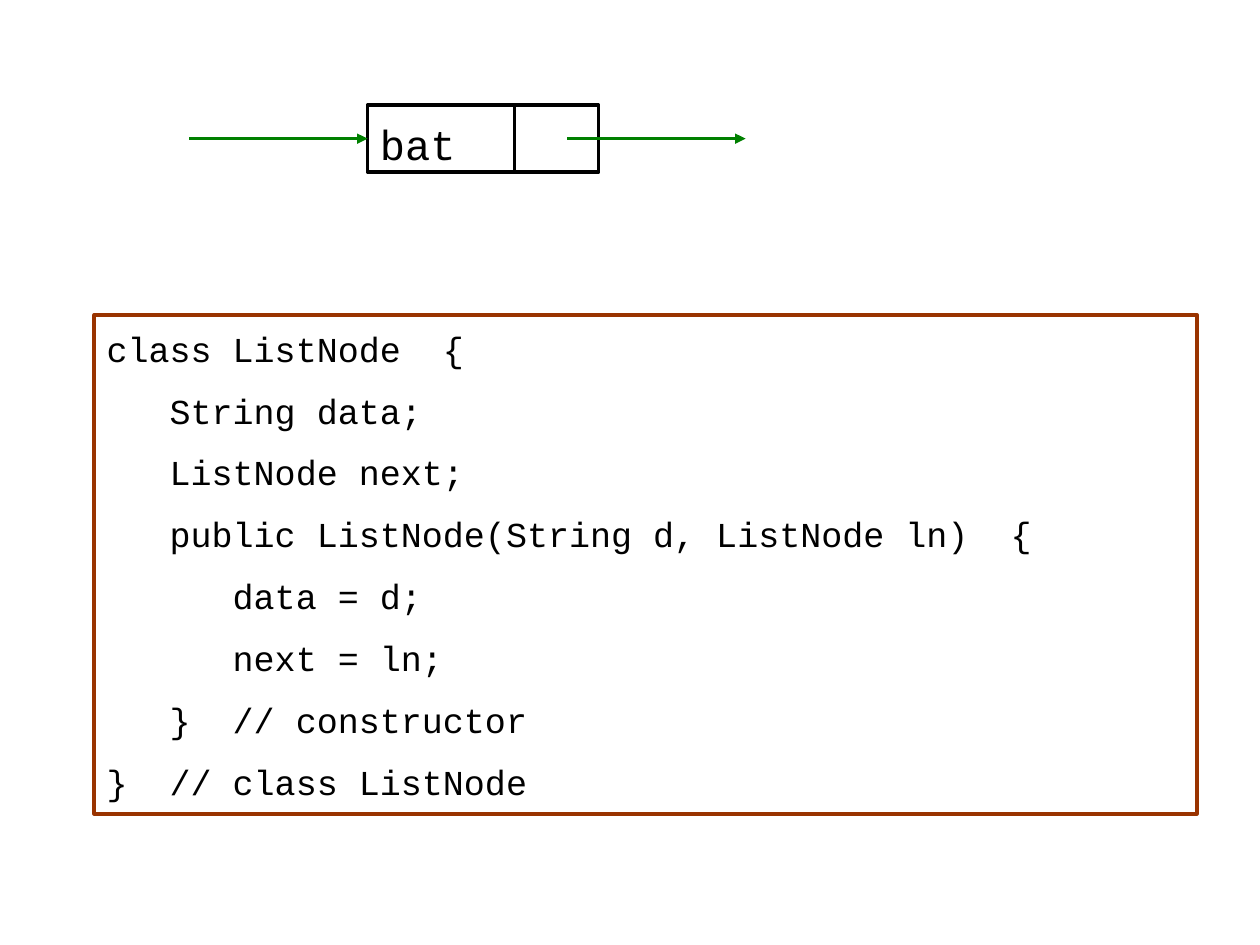
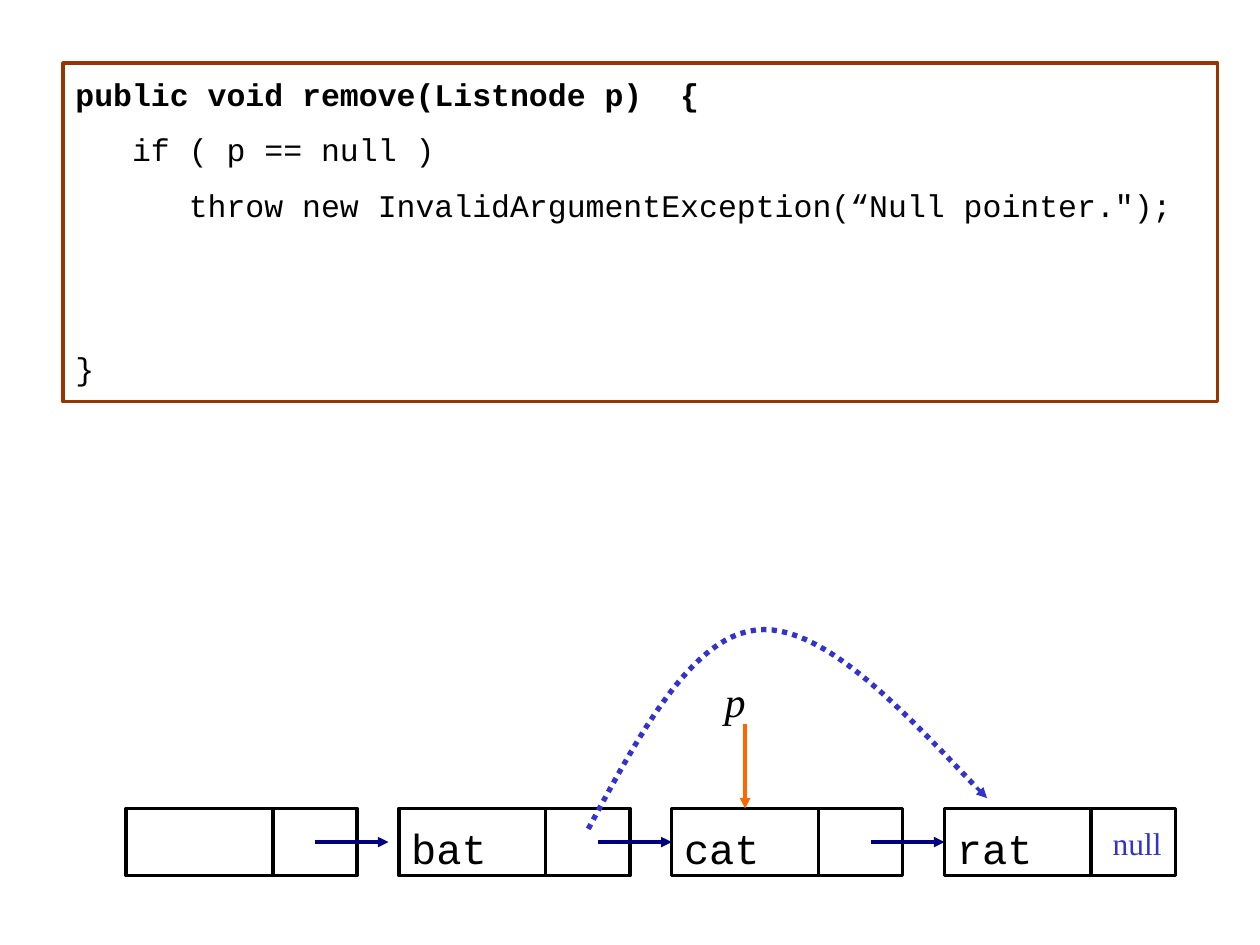
"""Build two slides on linked list nodes: the node class and removing a node."""
from dataclasses import dataclass, field
from typing import Any

from lxml import etree
from pptx import Presentation
from pptx import util as u
from pptx.dml.color import RGBColor
from pptx.enum import dml, shapes, text
from pptx.oxml.ns import qn

BLACK = RGBColor(0x00, 0x00, 0x00)
BROWN = RGBColor(0x99, 0x33, 0x00)
GREEN = RGBColor(0x00, 0x80, 0x00)
NAVY = RGBColor(0x00, 0x00, 0x80)
BLUE = RGBColor(0x33, 0x33, 0xCC)
ORANGE = RGBColor(0xFF, 0x66, 0x00)

MONO = "Courier New"
SERIF = "Times New Roman"
LINE_WIDTH = u.Pt(2)

DATA_WIDTH = 2.96
LINK_WIDTH = 1.7
NODE_HEIGHT = 1.35
NODE_STEP = 5.5
LINK_START = 4.02
SIDE_INSET = 0.25
TOP_INSET = 0.13
CURVE_STEPS = 24
TOP_SIDE, LEFT_SIDE = 0, 1

CLASS_CODE = """class ListNode  {
   String data;
   ListNode next;
   public ListNode(String d, ListNode ln)  {
      data = d;
      next = ln;
   }  // constructor
}  // class ListNode"""

REMOVE_CODE = """public void remove(Listnode p)  {
   if ( p == null )
      throw new InvalidArgumentException(“Null pointer.");


}"""

Point = tuple[float, float]


@dataclass
class Area:
    """A rectangle on the page, in centimetres."""
    left: float
    top: float
    width: float
    height: float

    def lengths(self) -> list[u.Length]:
        """Return the four lengths in drawing order."""
        return [u.Cm(value) for value in (self.left, self.top, self.width, self.height)]


@dataclass
class Node:
    """A list node with a data cell and a link cell."""
    left: float
    top: float
    label: str = ""

    @property
    def middle(self) -> float:
        """Return the height at which links run."""
        return self.top + NODE_HEIGHT / 2


@dataclass
class Wording:
    """Text with its font values and layout."""
    content: str
    size: float
    font: dict[str, Any] = field(default_factory=dict)
    align: Any = text.PP_ALIGN.LEFT
    inset: float = SIDE_INSET
    top_inset: float = TOP_INSET
    bold_first: bool = False


@dataclass
class Arrow:
    """A straight arrow, joined to a cell when a target is given."""
    start: Point
    end: Point
    color: RGBColor
    target: Any = None
    side: int = LEFT_SIDE


def apply(item: Any, values: dict[str, Any]) -> None:
    """Set every named value on an object."""
    for name, value in values.items():
        setattr(item, name, value)


def outline(line: Any, color: RGBColor, width: u.Length = LINE_WIDTH) -> None:
    """Give a line its colour and width."""
    line.color.rgb = color
    line.width = width


def write(box: Any, wording: Wording) -> None:
    """Write lines of text, turning empty lines into space before the next one."""
    frame = box.text_frame
    apply(frame, {
        "word_wrap": True,
        "vertical_anchor": text.MSO_ANCHOR.TOP,
        "margin_left": u.Cm(wording.inset),
        "margin_right": u.Cm(wording.inset),
        "margin_top": u.Cm(wording.top_inset + 0.006 * wording.size),
        "margin_bottom": 0,
    })
    line_height = 1.133 * wording.size
    gap = line_height / 2
    skipped = 0
    for index, content in enumerate(wording.content.split("\n")):
        if not content:
            skipped += 1
            continue
        para = frame.add_paragraph() if index else frame.paragraphs[0]
        before = gap + skipped * (line_height + gap) if index else 0
        apply(para, {"alignment": wording.align, "space_before": u.Pt(round(before, 1))})
        skipped = 0
        span = para.add_run()
        span.text = content
        span.font.color.rgb = BLACK
        apply(span.font, {"name": MONO, "size": u.Pt(wording.size),
                          "bold": wording.bold_first and index == 0})
        values = dict(wording.font)
        span.font.color.rgb = values.pop("color", BLACK)
        apply(span.font, values)


def draw_box(page: Any, area: Area, color: RGBColor, wording: Wording | None = None) -> Any:
    """Draw an outlined rectangle, with text if any."""
    box = page.shapes.add_shape(shapes.MSO_SHAPE.RECTANGLE, *area.lengths())
    box.shadow.inherit = False
    box.fill.background()
    outline(box.line, color)
    if wording:
        write(box, wording)
    return box


def draw_label(page: Any, area: Area, wording: Wording) -> None:
    """Draw text without an outline."""
    write(page.shapes.add_textbox(*area.lengths()), wording)


def draw_node(page: Any, node: Node) -> Any:
    """Draw both cells of a node and return the data cell."""
    wording = Wording(node.label, 24) if node.label else None
    data = draw_box(page, Area(node.left, node.top, DATA_WIDTH, NODE_HEIGHT), BLACK, wording)
    draw_box(page, Area(node.left + DATA_WIDTH, node.top, LINK_WIDTH, NODE_HEIGHT), BLACK)
    return data


def draw_arrow(page: Any, arrow: Arrow) -> None:
    """Draw an arrow with a triangular head."""
    ends = [u.Cm(value) for value in (*arrow.start, *arrow.end)]
    link = page.shapes.add_connector(shapes.MSO_CONNECTOR.STRAIGHT, *ends)
    if arrow.target is not None:
        link.end_connect(arrow.target, arrow.side)
    outline(link.line, arrow.color)
    properties = link._element.spPr
    etree.SubElement(properties.find(qn("a:ln")), qn("a:tailEnd"), type="triangle")
    etree.SubElement(properties, qn("a:effectLst"))


def curve_points(corners: list[Point]) -> list[Point]:
    """Return points along a cubic curve, without its first one."""
    points = []
    for step in range(1, CURVE_STEPS + 1):
        t = step / CURVE_STEPS
        weights = ((1 - t) ** 3, 3 * t * (1 - t) ** 2, 3 * t ** 2 * (1 - t), t ** 3)
        points.append(tuple(sum(w * corner[axis] for w, corner in zip(weights, corners))
                            for axis in (0, 1)))
    return points


def draw_bypass(page: Any, corners: list[Point]) -> None:
    """Draw the dotted link that skips the removed node."""
    points = curve_points(corners[:4]) + curve_points(corners[3:])
    scaled = [(u.Cm(x), u.Cm(y)) for x, y in points]
    builder = page.shapes.build_freeform(u.Cm(corners[0][0]), u.Cm(corners[0][1]))
    builder.add_line_segments(scaled, close=False)
    bypass = builder.convert_to_shape()
    bypass.shadow.inherit = False
    bypass.fill.background()
    outline(bypass.line, BLUE, u.Pt(3))
    bypass.line.dash_style = dml.MSO_LINE.ROUND_DOT


def build_class_page(page: Any) -> None:
    """Show one node above the class that defines it."""
    draw_box(page, Area(1.9, 6.35, 22.23, 10.06), BROWN, Wording(CLASS_CODE, 20))
    node = Node(7.41, 2.12, "bat")
    cell = draw_node(page, node)
    start = node.left + LINK_START
    draw_arrow(page, Arrow((3.81, node.middle), (node.left, node.middle), GREEN, cell))
    draw_arrow(page, Arrow((start, node.middle), (start + 3.6, node.middle), GREEN))


def build_remove_page(page: Any) -> None:
    """Show the remove method above a list that loses a node."""
    draw_box(page, Area(1.27, 1.27, 23.28, 6.83), BROWN,
             Wording(REMOVE_CODE, 18, bold_first=True))
    nodes = [Node(2.54 + NODE_STEP * index, 16.3, label)
             for index, label in enumerate(("", "bat", "cat", "rat"))]
    cells = [draw_node(page, node) for node in nodes]
    head, bat, cat, rat = nodes
    level = head.middle
    draw_arrow(page, Arrow((6.35, level), (7.83, level), NAVY))
    for node, following, cell in zip(nodes[1:], nodes[2:], cells[2:]):
        draw_arrow(page, Arrow((node.left + LINK_START, level), (following.left, level),
                               NAVY, cell))
    draw_label(page, Area(22.43, 16.51, 1.48, 0.76),
               Wording("null", 18, {"name": SERIF, "color": BLUE}, inset=0, top_inset=0))
    draw_label(page, Area(13.34, 13.34, DATA_WIDTH, 1.27),
               Wording("p", 24, {"name": SERIF, "italic": True}, text.PP_ALIGN.CENTER))
    center = cat.left + DATA_WIDTH / 2
    draw_arrow(page, Arrow((center, 14.6), (center, cat.top), ORANGE, cells[2], TOP_SIDE))
    draw_bypass(page, [(11.86, 16.71), (12.9, 14.78), (13.94, 12.85), (15.24, 12.7),
                       (16.54, 12.55), (18.11, 14.22), (19.69, 15.88)])
    draw_arrow(page, Arrow((19.69, 15.88), (19.9, 16.09), BLUE))


def main() -> None:
    """Build and save the deck."""
    deck = Presentation()
    apply(deck, {"slide_width": u.Cm(25.4), "slide_height": u.Cm(19.05)})
    blank = deck.slide_layouts[6]
    for build in (build_class_page, build_remove_page):
        build(deck.slides.add_slide(blank))
    deck.save("out.pptx")


if __name__ == "__main__":
    main()
